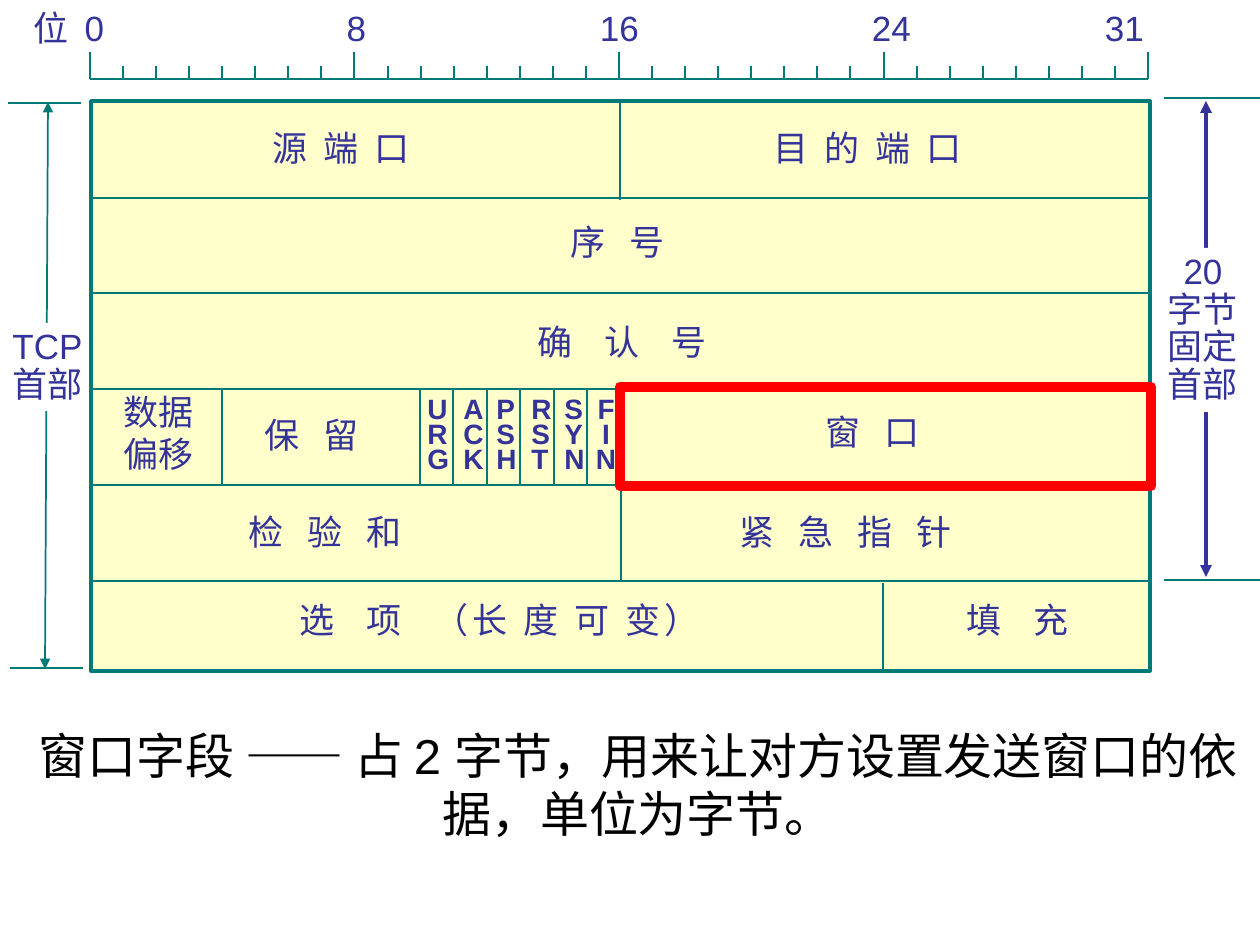
from dataclasses import dataclass
from typing import Optional

from lxml import etree
from pptx import Presentation
from pptx import util as u
from pptx.dml.color import RGBColor
from pptx.enum import shapes, text
from pptx.oxml.ns import qn

PX_PER_INCH = 126
TEAL = RGBColor(0x00, 0x7A, 0x77)
INDIGO = RGBColor(0x33, 0x33, 0x99)
CREAM = RGBColor(0xFF, 0xFF, 0xCC)
RED = RGBColor(0xFF, 0x00, 0x00)
WHITE = RGBColor(0xFF, 0xFF, 0xFF)
BLACK = RGBColor(0x00, 0x00, 0x00)
FONT = "Arial"

# Letter spacing in hundredths of a point
CLOSE, MEDIUM, WIDE = 230, 460, 690
CENTER = text.PP_ALIGN.CENTER


@dataclass
class Label:
    lines: list[str]
    left: int
    top: int
    width: int
    height: int = 54
    spacing: int = 0
    size: int = 20
    bold: bool = False
    line_spacing: Optional[float] = None
    align: Optional[text.PP_ALIGN] = None
    fill: Optional[RGBColor] = None


@dataclass
class Line:
    x1: int
    y1: int
    x2: int
    y2: int
    color: RGBColor = TEAL
    width: float = 1
    arrows: bool = False


def px(value: int) -> int:
    return round(value * u.Inches(1) / PX_PER_INCH)


def set_font(paragraph, size: int, color: RGBColor, bold: bool = False) -> None:
    font = paragraph.font
    font.name, font.size, font.bold = FONT, u.Pt(size), bold
    font.color.rgb = color


def add_spaced_run(paragraph, words: str, spacing: int) -> None:
    run = paragraph.add_run()
    run.text = words
    if spacing:
        run._r.get_or_add_rPr().set("spc", str(spacing))


def draw_label(slide, label: Label):
    box = slide.shapes.add_textbox(px(label.left), px(label.top), px(label.width), px(label.height))
    if label.fill is not None:
        box.fill.solid()
        box.fill.fore_color.rgb = label.fill
    frame = box.text_frame
    frame.word_wrap = False
    frame.auto_size = text.MSO_AUTO_SIZE.SHAPE_TO_FIT_TEXT
    for index, words in enumerate(label.lines):
        paragraph = frame.paragraphs[0] if index == 0 else frame.add_paragraph()
        add_spaced_run(paragraph, words, label.spacing)
        if label.line_spacing:
            paragraph.line_spacing = label.line_spacing
        if label.align is not None:
            paragraph.alignment = label.align
        set_font(paragraph, label.size, INDIGO, label.bold)
    return frame


def draw_line(slide, line: Line) -> None:
    connector = slide.shapes.add_connector(
        shapes.MSO_CONNECTOR.STRAIGHT, px(line.x1), px(line.y1), px(line.x2), px(line.y2))
    connector.line.color.rgb = line.color
    connector.line.width = u.Pt(line.width)
    properties = connector._element.spPr
    if line.arrows:
        for end in ("a:headEnd", "a:tailEnd"):
            etree.SubElement(properties.find(qn("a:ln")), qn(end), type="triangle")
    etree.SubElement(properties, qn("a:effectLst"))


def draw_frame(slide, left: int, top: int, width: int, height: int,
               color: RGBColor, weight: float, fill: Optional[RGBColor] = None) -> None:
    frame = slide.shapes.add_shape(
        shapes.MSO_SHAPE.RECTANGLE, px(left), px(top), px(width), px(height))
    frame.shadow.inherit = False
    if fill is None:
        frame.fill.background()
    else:
        frame.fill.solid()
        frame.fill.fore_color.rgb = fill
    frame.line.color.rgb = color
    frame.line.width = u.Pt(weight)


def draw_ruler(slide) -> None:
    left, right, base = 90, 1148, 79
    draw_line(slide, Line(left, base, right, base))
    for bit in range(33):
        x = left + round((right - left) * bit / 32)
        draw_line(slide, Line(x, 52 if bit % 8 == 0 else 66, x, base))

    # Bit numbers stand on centred tab stops
    numbers = draw_label(slide, Label([], 21, 0, 1148)).paragraphs[0]
    numbers.text = "位\t0\t8\t16\t24\t31"
    stops = etree.SubElement(numbers._p.get_or_add_pPr(), qn("a:tabLst"))
    for position in (61, 323, 586, 858, 1091):
        etree.SubElement(stops, qn("a:tab"), pos=str(px(position)), algn="ctr")
    set_font(numbers, 20, INDIGO)


def draw_extents(slide) -> None:
    # Whole header on the left, fixed part on the right
    draw_line(slide, Line(48, 102, 45, 669, arrows=True))
    draw_label(slide, Label(["TCP", "首部"], 0, 323, 96, 88, line_spacing=0.9, fill=WHITE))
    draw_line(slide, Line(1206, 101, 1206, 577, INDIGO, 2.25, arrows=True))
    draw_label(slide, Label(["20", "字节", "固定", "首部"], 1155, 248, 96, 164,
                            line_spacing=0.9, align=CENTER, fill=WHITE))
    for x1, x2, y in ((8, 81, 103), (10, 83, 668), (1164, 1279, 98), (1164, 1279, 580)):
        draw_line(slide, Line(x1, y, x2, y))


def draw_header(slide) -> None:
    draw_frame(slide, 91, 101, 1059, 570, TEAL, 2, CREAM)
    rows = [198 + i * 383 // 4 for i in range(5)]
    for y in rows:
        draw_line(slide, Line(90, y, 1150, y))

    # Column dividers
    for x, top, bottom in ((620, 102, 200), (621, rows[2], rows[4]),
                           (222, rows[2], rows[3]), (883, 583, 671)):
        draw_line(slide, Line(x, top, x, bottom))
    for i in range(6):
        x = 420 + i * 67 // 2
        draw_line(slide, Line(x, rows[2], x, rows[3]))

    # Field names
    for field in (
        Label(["源 端 口"], 260, 120, 200, spacing=CLOSE),
        Label(["目 的 端 口"], 761, 120, 271, spacing=CLOSE),
        Label(["序 号"], 558, 214, 190, spacing=MEDIUM),
        Label(["确 认 号"], 525, 314, 253, spacing=WIDE),
        Label(["数据", "偏移"], 111, 384, 96, 96),
        Label(["保 留"], 252, 407, 147, spacing=MEDIUM),
        Label(["窗 口"], 813, 404, 147, spacing=MEDIUM),
        Label(["检 验 和"], 236, 504, 236, spacing=MEDIUM),
        Label(["紧 急 指 针"], 727, 504, 323, spacing=MEDIUM),
        Label(["填 充"], 954, 592, 173, spacing=WIDE),
    ):
        draw_label(slide, field)
    options = draw_label(slide, Label(["选 项 "], 287, 592, 441, spacing=WIDE))
    add_spaced_run(options.paragraphs[0], "（长 度 可 变）", CLOSE)

    # Flag names, one letter to a line
    for flag, left in (("URG", 415), ("ACK", 451), ("PSH", 484),
                       ("RST", 519), ("SYN", 552), ("FIN", 583)):
        draw_label(slide, Label(list(flag), left, 393, 46, 88, size=16, bold=True,
                                line_spacing=0.75, align=CENTER if flag == "FIN" else None))

    # Highlight of the window field
    draw_frame(slide, 620, 387, 531, 99, RED, 6)


def write_title(slide) -> None:
    title = slide.shapes.title
    title.left, title.top, title.width, title.height = px(25), px(694), px(1226), px(155)
    frame = title.text_frame
    frame.text = "窗口字段 —— 占 2 字节，用来让对方设置发送窗口的依据，单位为字节。"
    frame.word_wrap = True
    frame.auto_size = text.MSO_AUTO_SIZE.NONE
    frame.vertical_anchor = text.MSO_ANCHOR.BOTTOM
    frame.paragraphs[0].alignment = CENTER
    set_font(frame.paragraphs[0], 28, BLACK)


def main() -> None:
    deck = Presentation()
    deck.slide_width, deck.slide_height = u.Inches(10), u.Inches(7.5)
    slide = deck.slides.add_slide(deck.slide_layouts[5])
    write_title(slide)
    draw_extents(slide)
    draw_header(slide)
    draw_ruler(slide)
    deck.save("out.pptx")


if __name__ == "__main__":
    main()
